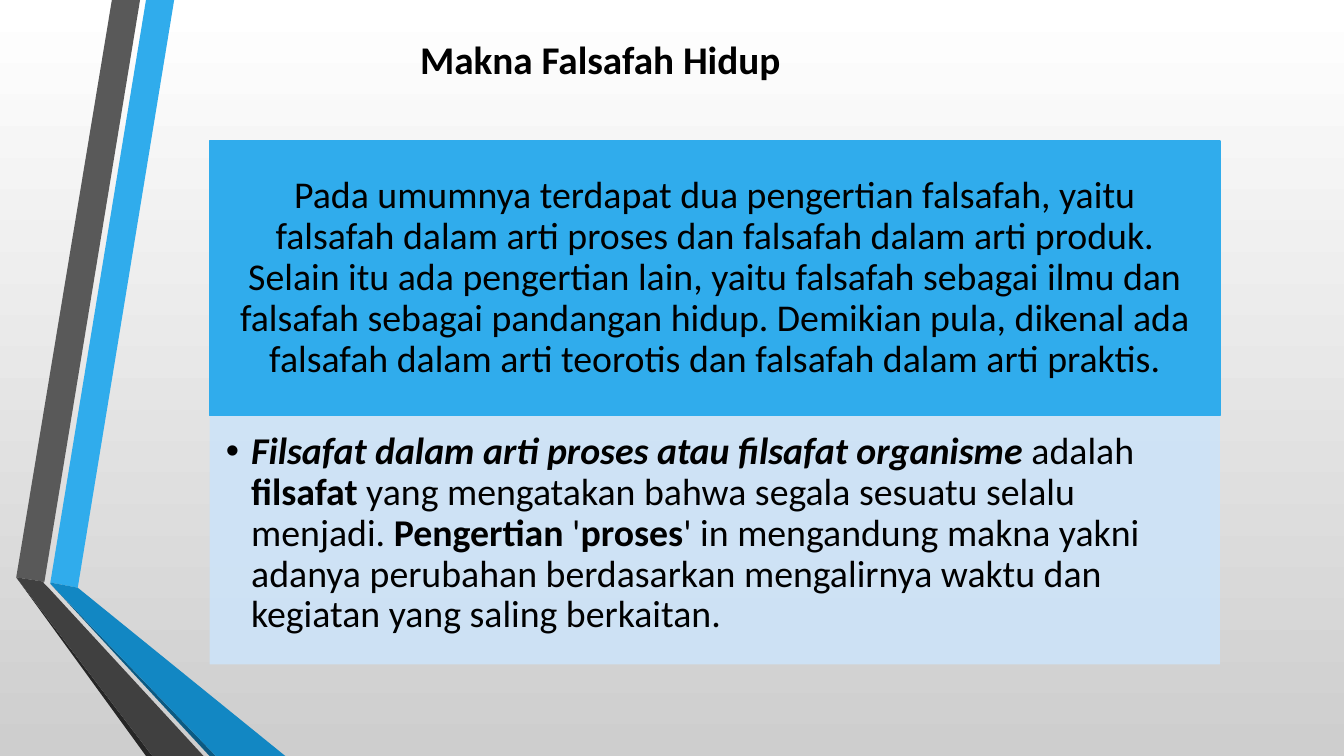
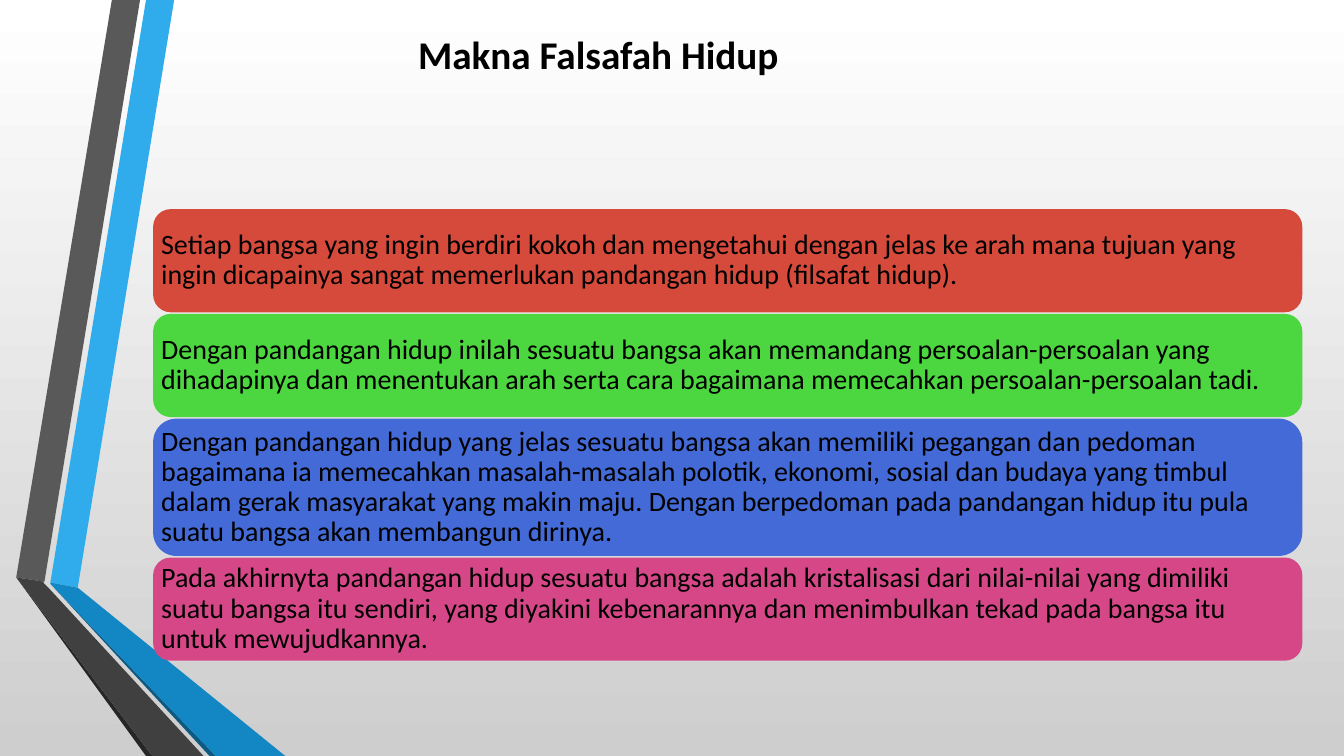
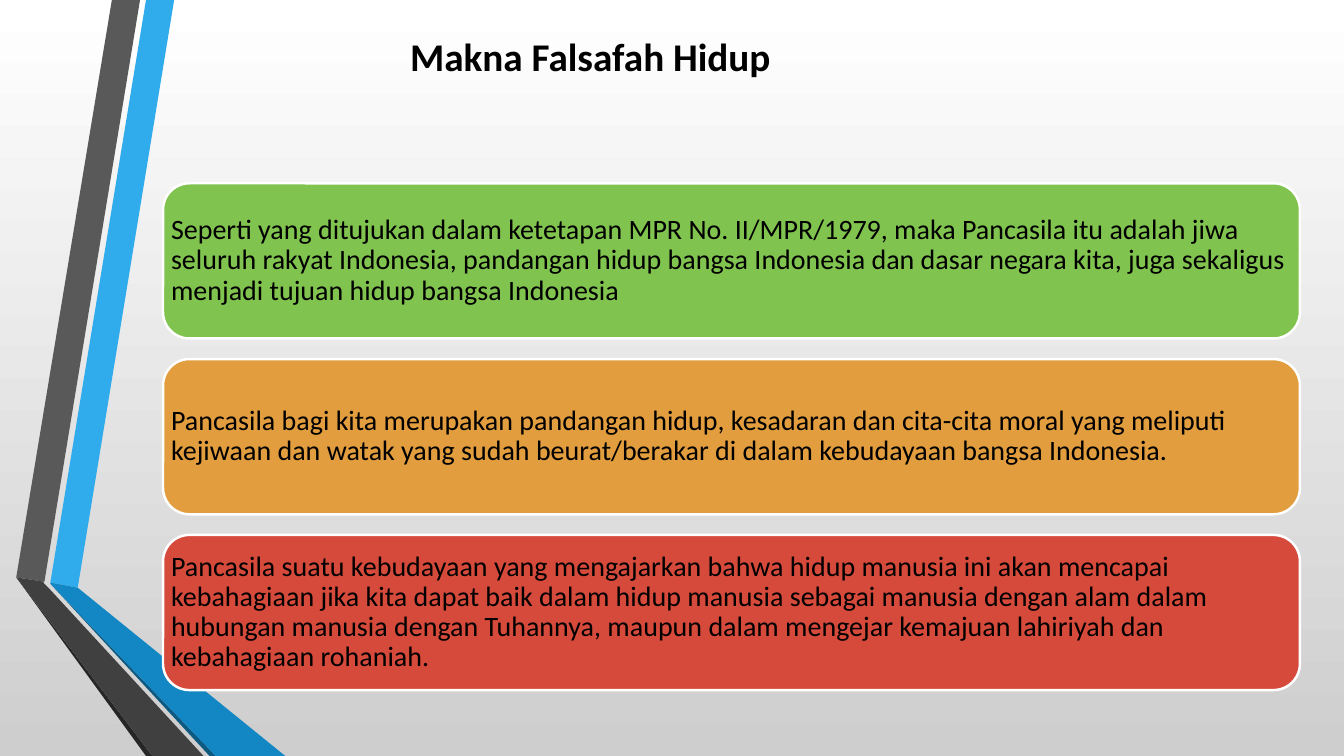
from dataclasses import dataclass

from lxml.etree import SubElement
from pptx import Presentation
from pptx.dml.color import RGBColor
from pptx.enum.shapes import MSO_SHAPE
from pptx.enum.text import MSO_ANCHOR, MSO_AUTO_SIZE, PP_ALIGN
from pptx.oxml.ns import qn
from pptx.util import Cm, Pt


@dataclass(frozen=True)
class Theme:
    font: str = "Calibri"
    text: str = "000000"
    white: str = "FFFFFF"
    grey: str = "CECECE"
    sky: str = "30ACEC"
    ocean: str = "1287C3"
    navy: str = "0C5A82"
    slate: str = "595959"
    charcoal: str = "404040"
    coal: str = "262626"
    pale: str = "CDE3F8"
    red: str = "D64A3B"
    green: str = "4CD63F"
    blue: str = "436AD6"
    pink: str = "D64787"
    lime: str = "80C34F"
    orange: str = "E29D3E"
    title_size: int = 28
    panel_size: int = 27
    bar_size: int = 20


THEME = Theme()

# Ribbon down the left edge: colour and outline in cm, back to front
RIBBON = [
    (THEME.sky, [(1.27, 14.68), (1.96, 14.81), (4.39, 0), (3.68, 0)]),
    (THEME.slate, [(3.53, 0), (2.82, 0), (0.41, 14.55), (1.12, 14.66)]),
    (THEME.coal, [(0.41, 14.55), (3.68, 19.05), (3.84, 19.05)]),
    (THEME.navy, [(1.27, 14.71), (5.28, 19.05), (5.44, 19.05)]),
    (THEME.ocean, [(1.27, 14.71), (5.44, 19.05), (7.19, 19.05), (1.96, 14.81),
                   (1.27, 14.68)]),
    (THEME.charcoal, [(5.13, 19.05), (1.22, 14.81), (1.09, 14.68), (1.12, 14.66),
                      (0.41, 14.55), (3.84, 19.05)]),
]

TITLE_ONLY, TITLE_AND_BODY = 5, 1
CORNER = 0.17           # corner radius of a bar, as a share of its height
CORNER_INSET = 0.29     # share of the radius that the text area gives up


def rgb(code):
    return RGBColor.from_string(code)


class Deck:
    def __init__(self, theme):
        self.theme = theme
        self.prs = Presentation()
        self.prs.slide_width, self.prs.slide_height = Cm(33.87), Cm(19.05)
        self.s = None
        self.background()

    # Shared look
    def background(self):
        fill = self.prs.slide_master.background.fill
        fill.gradient()
        fill.gradient_angle = 270
        for stop, code in zip(fill.gradient_stops, (self.theme.white, self.theme.grey)):
            stop.color.rgb = rgb(code)

    def ribbon(self):
        """Draw the ribbon on the current slide and hand it to the master."""
        tree = self.prs.slide_master.shapes.element
        for i, (code, points) in enumerate(RIBBON):
            (x, y), *rest = [(Cm(px), Cm(py)) for px, py in points]
            builder = self.s.shapes.build_freeform(x, y)
            builder.add_line_segments(rest, close=True)
            sp = builder.convert_to_shape()
            self.paint(sp, code)
            sp.element.nvSpPr.cNvPr.set("id", str(20 + i))
            tree.insert(2 + i, sp.element)

    def new_slide(self, layout, title, left, top):
        first = self.s is None
        self.s = self.prs.slides.add_slide(self.prs.slide_layouts[layout])
        if first:
            self.ribbon()
        sp = self.s.shapes.title
        self.place(sp, left, top, 21.41, 1.45)
        tf = sp.text_frame
        tf.auto_size = MSO_AUTO_SIZE.SHAPE_TO_FIT_TEXT
        self.add_runs(tf, [(title, "b")], self.theme.title_size, PP_ALIGN.CENTER, 1)

    # Helpers
    def place(self, sp, left, top, width, height):
        sp.left, sp.top, sp.width, sp.height = map(Cm, (left, top, width, height))

    def paint(self, sp, code, line=None, width=1.25):
        sp.shadow.inherit = False
        sp.fill.solid()
        sp.fill.fore_color.rgb = rgb(code)
        if line:
            sp.line.color.rgb = rgb(line)
            sp.line.width = Pt(width)
        else:
            sp.line.fill.background()

    def add_runs(self, tf, runs, size, align=PP_ALIGN.LEFT, spacing=0.9):
        tf.word_wrap = True
        p = tf.paragraphs[0]
        p.alignment, p.line_spacing, p.space_before = align, spacing, Pt(0)
        for text, style in runs:
            r = p.add_run()
            r.text = text
            r.font.name, r.font.size = self.theme.font, Pt(size)
            r.font.color.rgb = rgb(self.theme.text)
            r.font.bold, r.font.italic = "b" in style, "i" in style

    def insets(self, tf, left, top, right, bottom):
        tf.margin_left, tf.margin_top = Cm(left), Cm(top)
        tf.margin_right, tf.margin_bottom = Cm(right), Cm(bottom)

    # Elements
    def panel(self, text, left, top, width, height):
        sp = self.s.shapes.add_shape(MSO_SHAPE.RECTANGLE, 0, 0, 0, 0)
        self.place(sp, left, top, width, height)
        self.paint(sp, self.theme.sky, self.theme.sky)
        tf = sp.text_frame
        tf.vertical_anchor = MSO_ANCHOR.MIDDLE
        self.insets(tf, 0.53, 0.3, 0.53, 0.3)
        self.add_runs(tf, [(text, "")], self.theme.panel_size, PP_ALIGN.CENTER)

    def bullet_panel(self, runs, left, top, width, height):
        sp = self.s.placeholders[1]
        self.place(sp, left, top, width, height)
        sp.fill.solid()
        sp.fill.fore_color.rgb = rgb(self.theme.pale)
        color = sp.element.spPr.find(".//" + qn("a:srgbClr"))
        SubElement(color, qn("a:alpha")).set("val", "90000")
        tf = sp.text_frame
        tf.auto_size = MSO_AUTO_SIZE.NONE
        tf.vertical_anchor = MSO_ANCHOR.TOP
        self.insets(tf, 0.41, 0.41, 0.53, 0.61)
        pPr = tf.paragraphs[0]._p.get_or_add_pPr()
        pPr.set("marL", str(Cm(0.64)))
        pPr.set("indent", str(-Cm(0.64)))
        SubElement(pPr, qn("a:buChar")).set("char", "•")
        self.add_runs(tf, runs, self.theme.panel_size)

    def bars(self, items, left, top, width, gap, line=None):
        """Stack rounded bars; each item is colour, height and text."""
        for code, height, text in items:
            sp = self.s.shapes.add_shape(MSO_SHAPE.ROUNDED_RECTANGLE, 0, 0, 0, 0)
            self.place(sp, left, top, width, height)
            sp.adjustments[0] = CORNER
            self.paint(sp, code, line, 1.75)
            tf = sp.text_frame
            tf.vertical_anchor = MSO_ANCHOR.MIDDLE
            pad = 0.2 - CORNER * CORNER_INSET * height
            self.insets(tf, pad, pad, pad, pad)
            self.add_runs(tf, [(text, "")], self.theme.bar_size)
            top += height + gap


def main():
    theme = THEME
    deck = Deck(theme)
    title = "Makna Falsafah Hidup"

    # Slide 1: meanings of philosophy
    deck.new_slide(TITLE_AND_BODY, title, 4.42, 0.76)
    deck.panel(
        "Pada umumnya terdapat dua pengertian falsafah, yaitu falsafah dalam arti "
        "proses dan falsafah dalam arti produk. Selain itu ada pengertian lain, yaitu "
        "falsafah sebagai ilmu dan falsafah sebagai pandangan hidup. Demikian pula, "
        "dikenal ada falsafah dalam arti teorotis dan falsafah dalam arti praktis.",
        5.28, 3.55, 25.46, 6.92)
    deck.bullet_panel([
        ("Filsafat dalam arti proses atau filsafat organisme", "bi"),
        (" adalah ", ""),
        ("filsafat", "b"),
        (" yang mengatakan bahwa segala sesuatu selalu menjadi. ", ""),
        ("Pengertian", "b"),
        (" '", ""),
        ("proses", "b"),
        ("' in mengandung makna yakni adanya perubahan berdasarkan mengalirnya waktu "
         "dan kegiatan yang saling berkaitan.", ""),
    ], 5.28, 10.47, 25.46, 6.27)

    # Slide 2: a nation's view of life
    deck.new_slide(TITLE_ONLY, title, 4.37, 0.64)
    deck.bars([
        (theme.red, 2.6,
         "Setiap bangsa yang ingin berdiri kokoh dan mengetahui dengan jelas ke arah "
         "mana tujuan yang ingin dicapainya sangat memerlukan pandangan hidup "
         "(filsafat hidup)."),
        (theme.green, 2.6,
         "Dengan pandangan hidup inilah sesuatu bangsa akan memandang "
         "persoalan-persoalan yang dihadapinya dan menentukan arah serta cara "
         "bagaimana memecahkan persoalan-persoalan tadi."),
        (theme.blue, 3.46,
         "Dengan pandangan hidup yang jelas sesuatu bangsa akan memiliki pegangan dan "
         "pedoman bagaimana ia memecahkan masalah-masalah polotik, ekonomi, sosial dan "
         "budaya yang timbul dalam gerak masyarakat yang makin maju. Dengan berpedoman "
         "pada pandangan hidup itu pula suatu bangsa akan membangun dirinya."),
        (theme.pink, 2.6,
         "Pada akhirnyta pandangan hidup sesuatu bangsa adalah kristalisasi dari "
         "nilai-nilai yang dimiliki suatu bangsa itu sendiri, yang diyakini "
         "kebenarannya dan menimbulkan tekad pada bangsa itu untuk mewujudkannya."),
    ], 3.86, 5.27, 28.96, 0.04)

    # Slide 3: Pancasila as a view of life
    deck.new_slide(TITLE_ONLY, title, 4.17, 0.69)
    deck.bars([
        (theme.lime, 3.91,
         "Seperti yang ditujukan dalam ketetapan MPR No. II/MPR/1979, maka Pancasila "
         "itu adalah jiwa seluruh rakyat Indonesia, pandangan hidup bangsa Indonesia "
         "dan dasar negara kita, juga sekaligus menjadi tujuan hidup bangsa Indonesia"),
        (theme.orange, 3.91,
         "Pancasila bagi kita merupakan pandangan hidup, kesadaran dan cita-cita moral "
         "yang meliputi kejiwaan dan watak yang sudah beurat/berakar di dalam "
         "kebudayaan bangsa Indonesia."),
        (theme.red, 3.91,
         "Pancasila suatu kebudayaan yang mengajarkan bahwa hidup manusia ini akan "
         "mencapai kebahagiaan jika kita dapat baik dalam hidup manusia sebagai manusia "
         "dengan alam dalam hubungan manusia dengan Tuhannya, maupun dalam mengejar "
         "kemajuan lahiriyah dan kebahagiaan rohaniah."),
    ], 4.11, 4.62, 28.65, 0.52, theme.white)

    deck.prs.save("out.pptx")


if __name__ == "__main__":
    main()
